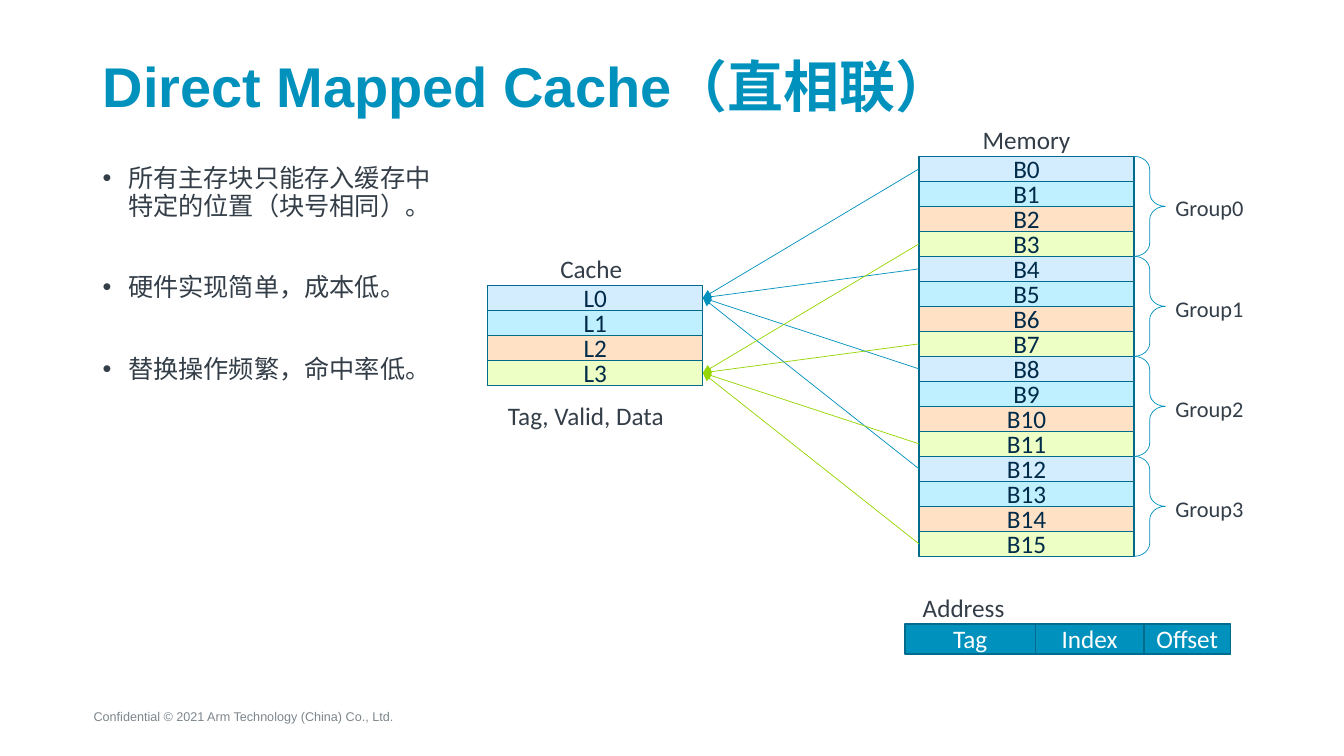
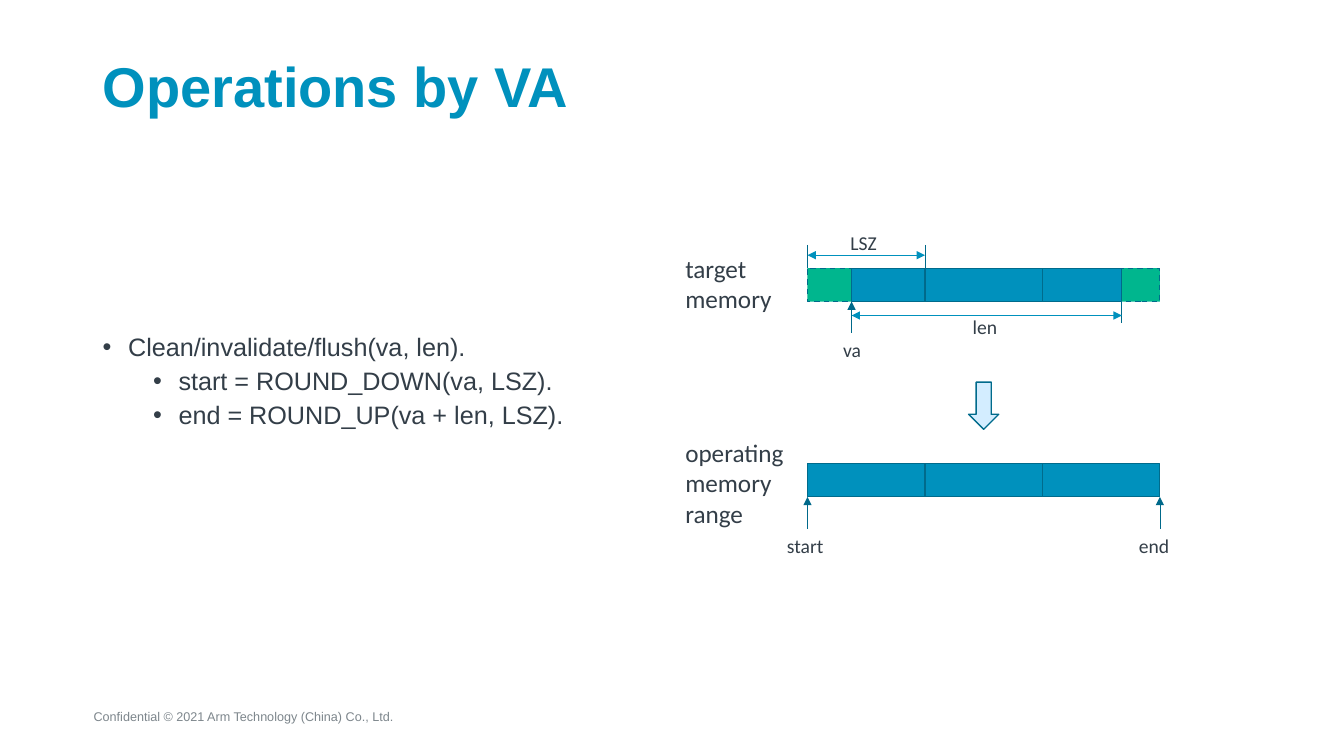
"""Builds two slides on direct mapped caches and on cache operations by address."""
import itertools

import lxml.etree
import pptx
import pptx.dml.color
import pptx.enum.dml
import pptx.enum.shapes
import pptx.enum.text
import pptx.oxml.ns
import pptx.util

Cm = pptx.util.Cm
Pt = pptx.util.Pt
SHAPE = pptx.enum.shapes.MSO_SHAPE
LEFT = pptx.enum.text.PP_ALIGN.LEFT
CENTER = pptx.enum.text.PP_ALIGN.CENTER
TOP = pptx.enum.text.MSO_ANCHOR.TOP
MIDDLE = pptx.enum.text.MSO_ANCHOR.MIDDLE

COLORS = {
    "accent": "0091BD", "border": "006B8C", "marker": "00698A",
    "lime": "95D600", "green": "00B68E", "text": "333E48",
    "navy": "002B49", "grey": "7D868C", "white": "FFFFFF",
    "sky": "D3EDFF", "cyan": "BFF0FF", "peach": "FFE1C6", "pale_lime": "EDFFC4",
}
LINE_COLORS = ["sky", "cyan", "peach", "pale_lime"]
ROW_HEIGHT = 0.63
ROW_WIDTH = 5.42
FOOTER = "Confidential © 2021 Arm Technology (China) Co., Ltd."


def rgb(name):
    return pptx.dml.color.RGBColor.from_string(COLORS[name])


def add_element(parent, tag, **attributes):
    element = lxml.etree.SubElement(parent, pptx.oxml.ns.qn(tag))
    for key, value in attributes.items():
        element.set(key, value)


def style(paragraph, size, color, face="Calibri", bold=False, align=LEFT):
    paragraph.alignment = align
    font = paragraph.font
    font.size = Pt(size)
    font.name = face
    font.bold = bold
    font.color.rgb = rgb(color)


def add_text_frame(slide, left, top, width, height, anchor=TOP):
    box = slide.shapes.add_textbox(Cm(left), Cm(top), Cm(width), Cm(height))
    frame = box.text_frame
    frame.word_wrap = True
    frame.vertical_anchor = anchor
    return frame


def add_label(slide, text, left, top, width, height, size=18, align=LEFT):
    frame = add_text_frame(slide, left, top, width, height)
    frame.text = text
    for paragraph in frame.paragraphs:
        style(paragraph, size, "text", align=align)


def add_bullets(slide, items, top, width, height, gaps):
    frame = add_text_frame(slide, 2.34, top, width, height)
    for index, (level, text) in enumerate(items):
        paragraph = frame.paragraphs[0] if index == 0 else frame.add_paragraph()
        paragraph.text = text
        paragraph.level = level
        paragraph.line_spacing = 0.9
        if index:
            paragraph.space_before = Pt(gaps[level])
        properties = paragraph._p.get_or_add_pPr()
        properties.set("marL", str(Cm(0.64 + 1.27 * level)))
        properties.set("indent", str(-Cm(0.64)))
        add_element(properties, "a:buFont", typeface="Arial")
        add_element(properties, "a:buChar", char="•")
        style(paragraph, 18, "text", "Arial")


def add_block(slide, left, top, width, height, fill, text="", color="navy",
              dashed=False, preset=SHAPE.RECTANGLE):
    block = slide.shapes.add_shape(preset, Cm(left), Cm(top), Cm(width), Cm(height))
    block.shadow.inherit = False
    block.fill.solid()
    block.fill.fore_color.rgb = rgb(fill)
    block.line.color.rgb = rgb("border")
    block.line.width = Pt(1)
    if dashed:
        block.line.dash_style = pptx.enum.dml.MSO_LINE.DASH
    if text:
        frame = block.text_frame
        frame.margin_left = frame.margin_right = 0
        frame.margin_top = frame.margin_bottom = 0
        frame.vertical_anchor = MIDDLE
        frame.text = text
        style(frame.paragraphs[0], 18, color, align=CENTER)
    return block


def add_line(slide, start, end, color, ends=(), blocks=None):
    line = slide.shapes.add_connector(
        pptx.enum.shapes.MSO_CONNECTOR.STRAIGHT,
        Cm(start[0]), Cm(start[1]), Cm(end[0]), Cm(end[1]))
    if blocks:
        line.begin_connect(blocks[0], 1)
        line.end_connect(blocks[1], 3)
    line.line.color.rgb = rgb(color)
    line.line.width = Pt(0.5)
    for tag in ends:
        add_element(line.line._get_or_add_ln(), tag, type="triangle")
    add_element(line._element.spPr, "a:effectLst")


def add_rows(slide, left, top, prefix, count):
    return [add_block(slide, left, top + row * ROW_HEIGHT, ROW_WIDTH, ROW_HEIGHT,
                      LINE_COLORS[row % 4], f"{prefix}{row}")
            for row in range(count)]


def add_cells(slide, edges, top):
    for left, right in itertools.pairwise(edges):
        add_block(slide, left, top, right - left, 0.84, "accent")


def add_group_brace(slide, left, top, text):
    height = 4 * ROW_HEIGHT
    brace = slide.shapes.add_shape(
        SHAPE.RIGHT_BRACE, Cm(left), Cm(top), Cm(0.79), Cm(height))
    brace.adjustments[0] = 0.425
    brace.shadow.inherit = False
    brace.fill.background()
    brace.line.color.rgb = rgb("accent")
    brace.line.width = Pt(0.5)
    add_label(slide, text, left + 0.79, top + 0.84, 2.39, 0.94, 16)


def add_titled_slide(deck, title):
    slide = deck.slides.add_slide(deck.slide_layouts[6])
    footer = add_text_frame(slide, 2.11, 17.75, 12.8, 0.69)
    footer.text = FOOTER
    style(footer.paragraphs[0], 9, "grey", "Arial")
    heading = add_text_frame(slide, 2.34, 1.27, 29.21, 1.96, MIDDLE)
    heading.text = title
    heading.paragraphs[0].line_spacing = 0.9
    style(heading.paragraphs[0], 40, "accent", "Arial", bold=True)
    return slide


def build_direct_mapped(deck):
    slide = add_titled_slide(deck, "Direct Mapped Cache（直相联）")
    add_bullets(slide, [(0, "所有主存块只能存入缓存中特定的位置（块号相同）。"),
                        (0, "硬件实现简单，成本低。"),
                        (0, "替换操作频繁，命中率低。")], 4.06, 8.94, 12.55, [39])

    add_label(slide, "Address", 22.81, 14.8, 2.95, 0.94, align=CENTER)
    field_left = 22.81
    for field, width in [("Tag", 3.28), ("Index", 2.74), ("Offset", 2.18)]:
        add_block(slide, field_left, 15.72, width, 0.76, "accent", field, "white")
        field_left += width

    memory_left, memory_top = 23.16, 3.94
    add_label(slide, "Memory", 24.46, 3.02, 2.82, 0.76, align=CENTER)
    memory = add_rows(slide, memory_left, memory_top, "B", 16)
    add_label(slide, "Cache", 13.49, 6.25, 2.82, 0.76, align=CENTER)
    cache = add_rows(slide, 12.29, 7.19, "L", 4)
    add_label(slide, "Tag, Valid, Data", 12.29, 9.96, 4.95, 1.02, align=CENTER)

    for index, color in [(0, "accent"), (3, "lime")]:
        for block in memory[index::4]:
            add_line(slide, (0, 0), (0, 0), color, ["a:tailEnd"],
                     (block, cache[index]))
    for group in range(4):
        add_group_brace(slide, memory_left + ROW_WIDTH,
                        memory_top + group * 4 * ROW_HEIGHT, f"Group{group}")


def build_operations(deck):
    slide = add_titled_slide(deck, "Operations by VA")
    add_bullets(slide, [(0, "Clean/invalidate/flush(va, len)."),
                        (1, "start = ROUND_DOWN(va, LSZ)."),
                        (1, "end = ROUND_UP(va + len, LSZ).")],
                8.3, 14.4, 8.3, [10, 5])

    bounds = [20.35 + 2.96 * cell for cell in range(4)]
    start, end = bounds[0], bounds[-1]
    va, va_end = 21.46, 28.27
    target_top, range_top = 6.76, 11.68

    for left, right in [(start, va), (va_end, end)]:
        add_block(slide, left, target_top, right - left, 0.84, "green", dashed=True)
    add_cells(slide, [va, *bounds[1:3], va_end], target_top)
    add_cells(slide, bounds, range_top)
    add_block(slide, (start + end) / 2 - 0.38, 9.63, 0.76, 1.19, "sky",
              preset=SHAPE.DOWN_ARROW)

    for x, top, bottom in [(start, 6.17, 6.76), (bounds[1], 6.17, 7.54),
                           (va_end, 6.76, 8.15)]:
        add_line(slide, (x, top), (x, bottom), "marker")
    for x, top in [(va, 7.6), (start, 12.52), (end, 12.52)]:
        add_line(slide, (x, top), (x, top + 0.8), "marker", ["a:headEnd"])
    for left, right, y in [(start, bounds[1], 6.43), (va, va_end, 7.95)]:
        add_line(slide, (left, y), (right, y), "accent", ["a:headEnd", "a:tailEnd"])

    for text, left, top, align in [
            ("LSZ", 21.18, 5.69, LEFT), ("len", 24.26, 7.82, LEFT),
            ("va", 20.7, 8.38, CENTER), ("start", 19.58, 13.34, LEFT),
            ("end", 28.45, 13.34, LEFT)]:
        add_label(slide, text, left, top, 1.55, 0.86, 14, align)
    add_label(slide, "target memory", 17.02, 6.25, 3.12, 1.8)
    add_label(slide, "operating memory\nrange", 17.02, 10.9, 3.12, 2.57)


def main():
    deck = pptx.Presentation()
    deck.slide_width = Cm(33.87)
    deck.slide_height = Cm(19.05)
    build_direct_mapped(deck)
    build_operations(deck)
    deck.save("out.pptx")


if __name__ == "__main__":
    main()
